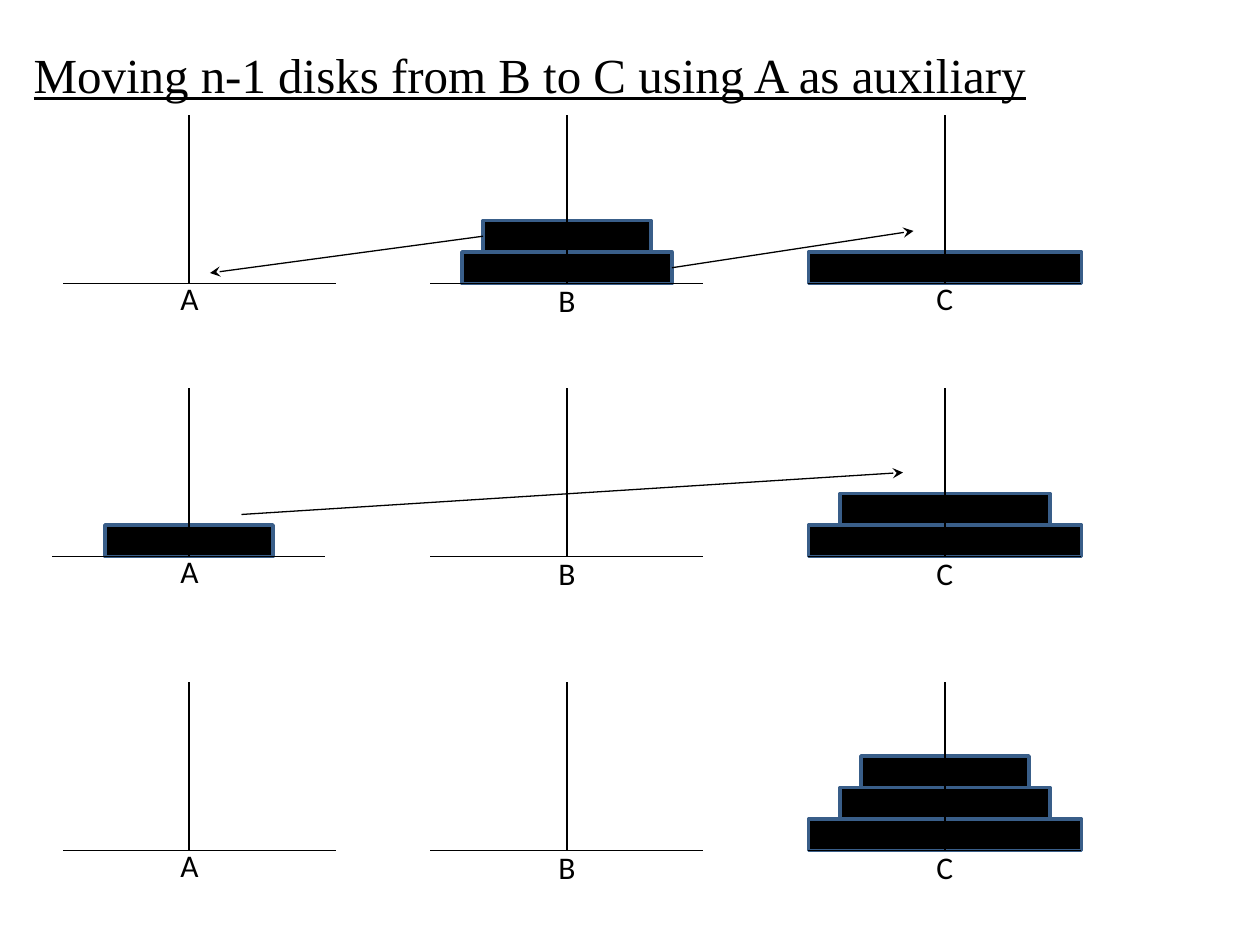
from lxml.etree import SubElement
from pptx import Presentation
from pptx.dml.color import RGBColor
from pptx.enum.shapes import MSO_CONNECTOR, MSO_SHAPE
from pptx.enum.text import MSO_ANCHOR, MSO_AUTO_SIZE, PP_ALIGN
from pptx.oxml.ns import qn
from pptx.util import Pt

EMU_PER_PX = 7620
COLORS = {"ink": "000000", "edge": "395E89"}
TITLE_FONT = {"name": "Times New Roman", "size": Pt(28), "underline": True}
LABEL_FONT = {"name": "Calibri", "size": Pt(18)}
POLE_HEIGHT = 160
BASE_WIDTH = 260
DISK_HEIGHT = 30
SMALL, MEDIUM, LARGE = 160, 200, 260
PEG_CENTERS = {"A": 180, "B": 540, "C": 900}
STAGES = [
    {"floor": 270, "disks": {"B": [MEDIUM, SMALL], "C": [LARGE]},
     "base_shift": {"A": 10}, "label_drop": {"B": 2}},
    {"floor": 530, "disks": {"A": [SMALL], "C": [LARGE, MEDIUM]},
     "base_shift": {}, "label_drop": {"B": 2, "C": 2}},
    {"floor": 810, "disks": {"C": [LARGE, MEDIUM, SMALL]},
     "base_shift": {"A": 10}, "label_drop": {"B": 2, "C": 2}},
]


def px(*lengths):
    return [length * EMU_PER_PX for length in lengths]


def color(name):
    return RGBColor.from_string(COLORS[name])


class Board:
    def __init__(self, slide):
        self.slide = slide
        self.shapes = slide.shapes

    def add_text(self, frame, text, font_values):
        paragraph = frame.paragraphs[0]
        paragraph.alignment = PP_ALIGN.LEFT
        span = paragraph.add_run()
        span.text = text
        for key, value in font_values.items():
            setattr(span.font, key, value)
        span.font.color.rgb = color("ink")

    def title(self, text, left, top, width, height):
        box = self.shapes.title
        box.left, box.top, box.width, box.height = px(left, top, width, height)
        frame = box.text_frame
        frame.auto_size = MSO_AUTO_SIZE.NONE
        frame.vertical_anchor = MSO_ANCHOR.TOP
        self.add_text(frame, text, TITLE_FONT)

    def label(self, text, left, top):
        box = self.shapes.add_textbox(*px(left, top, 50, 48))
        box.text_frame.word_wrap = True
        box.text_frame.auto_size = MSO_AUTO_SIZE.SHAPE_TO_FIT_TEXT
        self.add_text(box.text_frame, text, LABEL_FONT)

    def disk(self, center, top, width):
        disk = self.shapes.add_shape(
            MSO_SHAPE.RECTANGLE, *px(center - width // 2, top, width, DISK_HEIGHT))
        disk.shadow.inherit = False
        disk.fill.solid()
        disk.fill.fore_color.rgb = color("ink")
        disk.line.color.rgb = color("edge")
        disk.line.width = Pt(2)
        return disk

    def line(self, start, end, source=None, side=0, arrow=False):
        line = self.shapes.add_connector(MSO_CONNECTOR.STRAIGHT, *px(*start, *end))
        line.line.color.rgb = color("ink")
        line.line.width = Pt(0.75)
        properties = line._element.spPr
        if arrow:
            SubElement(properties.find(qn("a:ln")), qn("a:tailEnd"), type="stealth")
        SubElement(properties, qn("a:effectLst"))
        if source is not None:
            line.begin_connect(source, side)

    def peg(self, name, stage):
        center, floor = PEG_CENTERS[name], stage["floor"]
        disks = [self.disk(center, floor - DISK_HEIGHT * level, width)
                 for level, width in enumerate(stage["disks"].get(name, []), 1)]
        self.line((center, floor), (center, floor - POLE_HEIGHT),
                  disks[0] if disks else None, 2)
        base_left = center - BASE_WIDTH // 2 + stage["base_shift"].get(name, 0)
        self.line((base_left, floor), (base_left + BASE_WIDTH, floor))
        self.label(name, center - 20, floor - 10 + stage["label_drop"].get(name, 0))
        return disks


def main():
    deck = Presentation()
    deck.slide_width, deck.slide_height = px(1200, 900)
    board = Board(deck.slides.add_slide(deck.slide_layouts[5]))
    board.title("Moving n-1 disks from B to C using A as auxiliary", 20, 36, 1110, 70)

    stacks = [{name: board.peg(name, stage) for name in PEG_CENTERS}
              for stage in STAGES]
    medium_disk, small_disk = stacks[0]["B"]
    board.line((460, 225), (200, 260), small_disk, 1, arrow=True)
    board.line((640, 255), (870, 220), medium_disk, 3, arrow=True)
    board.line((230, 490), (860, 450), arrow=True)

    deck.save("out.pptx")


if __name__ == "__main__":
    main()
